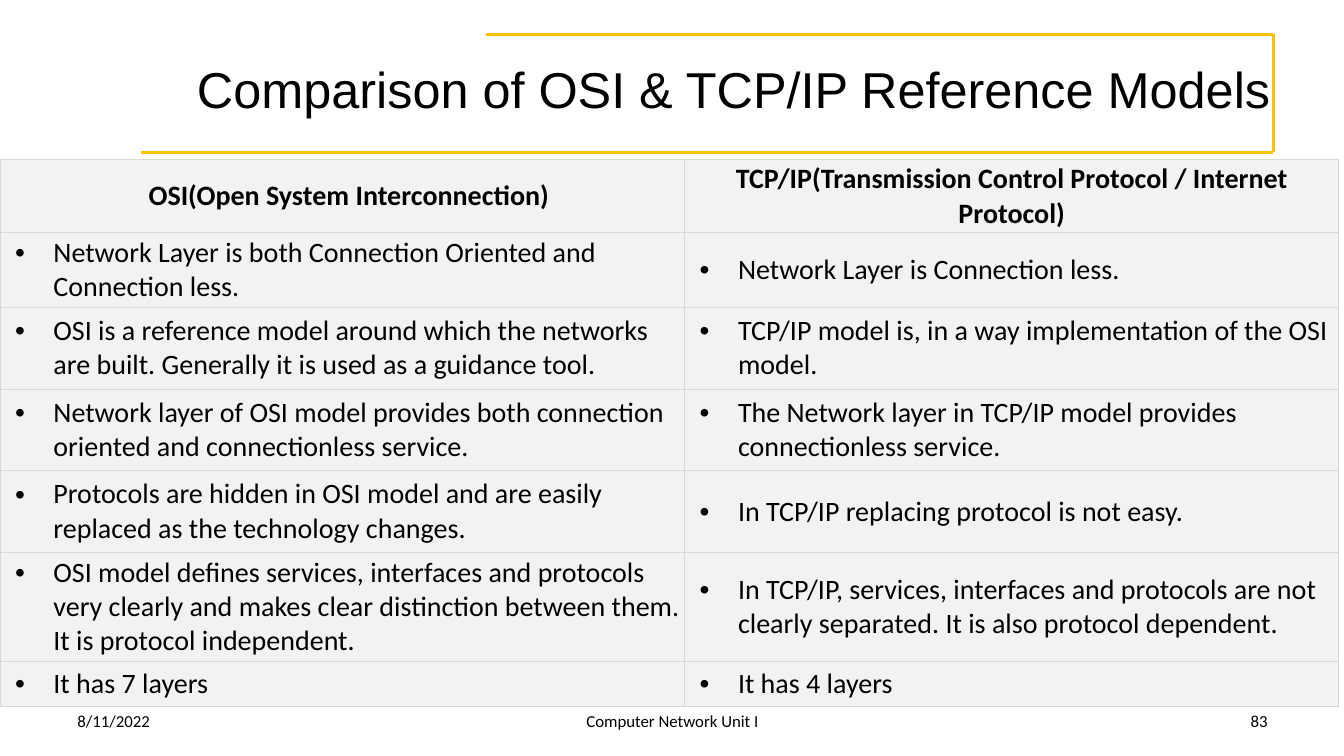
from lxml.etree import SubElement
from pptx import Presentation
from pptx.dml.color import RGBColor
from pptx.enum.shapes import MSO_CONNECTOR
from pptx.enum.text import MSO_ANCHOR, PP_ALIGN
from pptx.oxml.ns import qn
from pptx.util import Inches, Pt

BLACK = RGBColor(0x00, 0x00, 0x00)
GOLD = RGBColor(0xFF, 0xC1, 0x00)
PALE = RGBColor(0xF2, 0xF2, 0xF2)
BORDER = RGBColor(0xD8, 0xD8, 0xD8)

prs = Presentation()
prs.slide_width, prs.slide_height = Inches(13.33), Inches(7.5)
s = prs.slides.add_slide(prs.slide_layouts[6])


def add_run(p, text, size, font="Calibri", bold=False):
    r = p.add_run()
    r.text = text
    r.font.name, r.font.size, r.font.bold = font, Pt(size), bold
    r.font.color.rgb = BLACK


def add_text(box, text, align, size, font="Calibri"):
    sp = s.shapes.add_textbox(*map(Inches, box))
    tf = sp.text_frame
    tf.word_wrap = True
    tf.vertical_anchor = MSO_ANCHOR.MIDDLE
    p = tf.paragraphs[0]
    p.alignment = align
    add_run(p, text, size, font)


# Gold frame, open on the left
corners = [(4.82, 0.34), (12.63, 0.34), (12.63, 1.51), (1.4, 1.51)]
for start, end in zip(corners, corners[1:]):
    line = s.shapes.add_connector(MSO_CONNECTOR.STRAIGHT, *map(Inches, start + end))
    line.line.color.rgb = GOLD
    line.line.width = Pt(2)
    SubElement(line._element.spPr, qn("a:effectLst"))

# Title
add_text((1.28, 0.25, 12, 1.25), "Comparison of OSI & TCP/IP Reference Models",
         PP_ALIGN.CENTER, 36, "Arial")

# Footer
for left, width, text, align in [
    (0.67, 3.11, "8/11/2022", PP_ALIGN.LEFT),
    (4.56, 4.22, "Computer Network Unit I", PP_ALIGN.CENTER),
    (9.56, 3.11, "83", PP_ALIGN.RIGHT),
]:
    add_text((left, 6.95, width, 0.4), text, align, 12)

# Comparison table
rows = [
    ("OSI(Open System Interconnection)",
     "TCP/IP(Transmission Control Protocol / Internet Protocol)"),
    ("Network Layer is both Connection Oriented and Connection less.",
     "Network Layer is Connection less."),
    ("OSI is a reference model around which the networks are built. "
     "Generally it is used as a guidance tool.",
     "TCP/IP model is, in a way implementation of the OSI model."),
    ("Network layer of OSI model provides both connection oriented and "
     "connectionless service.",
     "The Network layer in TCP/IP model provides connectionless service."),
    ("Protocols are hidden in OSI model and are easily replaced as the "
     "technology changes.",
     "In TCP/IP replacing protocol is not easy."),
    ("OSI model defines services, interfaces and protocols very clearly and "
     "makes clear distinction between them. It is protocol independent.",
     "In TCP/IP, services, interfaces and protocols are not clearly separated. "
     "It is also protocol dependent."),
    ("It has 7 layers", "It has 4 layers"),
]
col_widths = [6.79, 6.49]
row_heights = [0.73, 0.74, 0.81, 0.81, 0.81, 1.08, 0.45]
table = s.shapes.add_table(len(rows), 2, 0, Inches(1.58), Inches(sum(col_widths)),
                           Inches(sum(row_heights))).table
table.first_row = True
table.horz_banding = False
for col, width in zip(table.columns, col_widths):
    col.width = Inches(width)

for i, (texts, height) in enumerate(zip(rows, row_heights)):
    table.rows[i].height = Inches(height)
    for j, text in enumerate(texts):
        cell = table.cell(i, j)
        cell.vertical_anchor = MSO_ANCHOR.MIDDLE
        cell.margin_left = cell.margin_right = Inches(0.03)
        cell.margin_top = cell.margin_bottom = Inches(0.03)

        # Borders come before the fill in the cell properties
        tcPr = cell._tc.get_or_add_tcPr()
        for side in ("a:lnL", "a:lnR", "a:lnT", "a:lnB"):
            ln = SubElement(tcPr, qn(side), w=str(Pt(0.75)))
            SubElement(SubElement(ln, qn("a:solidFill")), qn("a:srgbClr"), val=str(BORDER))
        cell.fill.solid()
        cell.fill.fore_color.rgb = PALE

        # Centred bold heading row, bulleted rows below
        p = cell.text_frame.paragraphs[0]
        pPr = p._p.get_or_add_pPr()
        if i == 0:
            p.alignment = PP_ALIGN.CENTER
            if j == 0:
                pPr.set("marL", str(Inches(0.13)))
        else:
            pPr.set("marL", str(Inches(0.5)))
            pPr.set("indent", str(Inches(-0.38)))
            SubElement(pPr, qn("a:buFont"), typeface="Arial")
            SubElement(pPr, qn("a:buChar"), char="•")
        add_run(p, text, 20, bold=i == 0)

prs.save("out.pptx")
